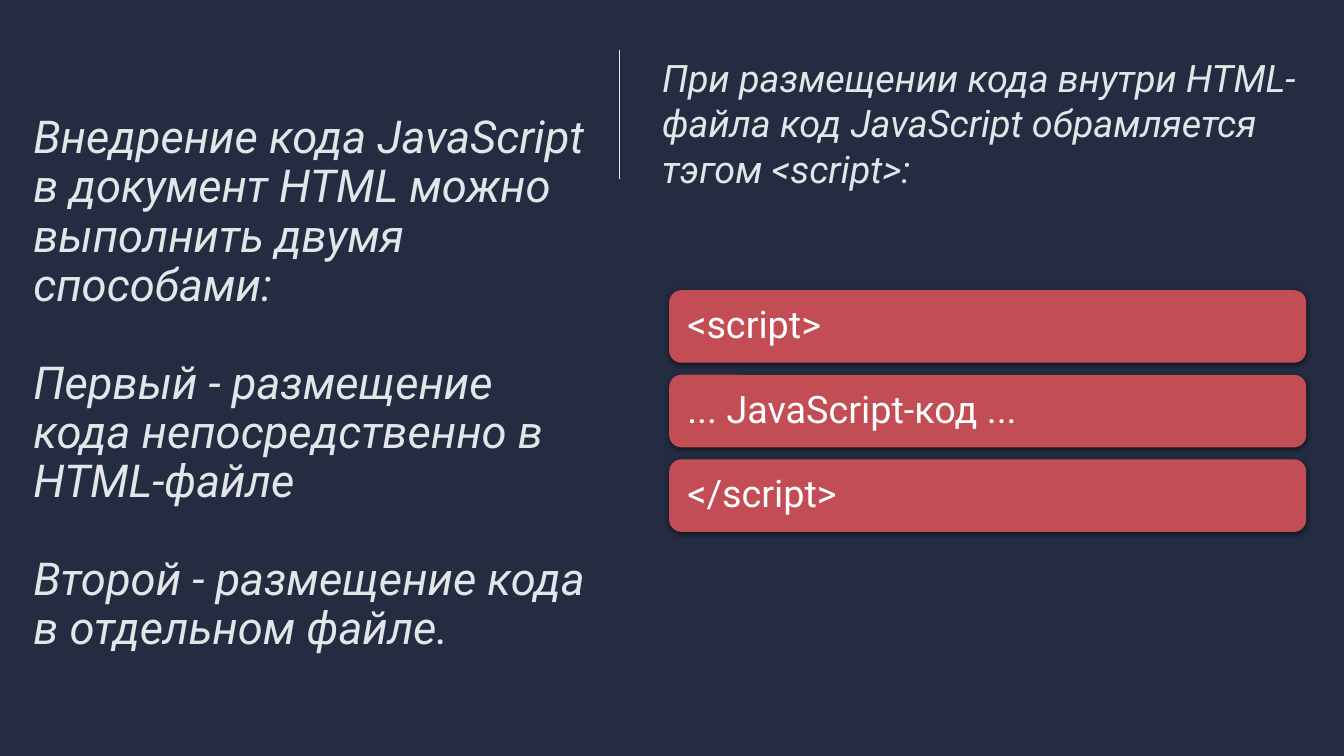
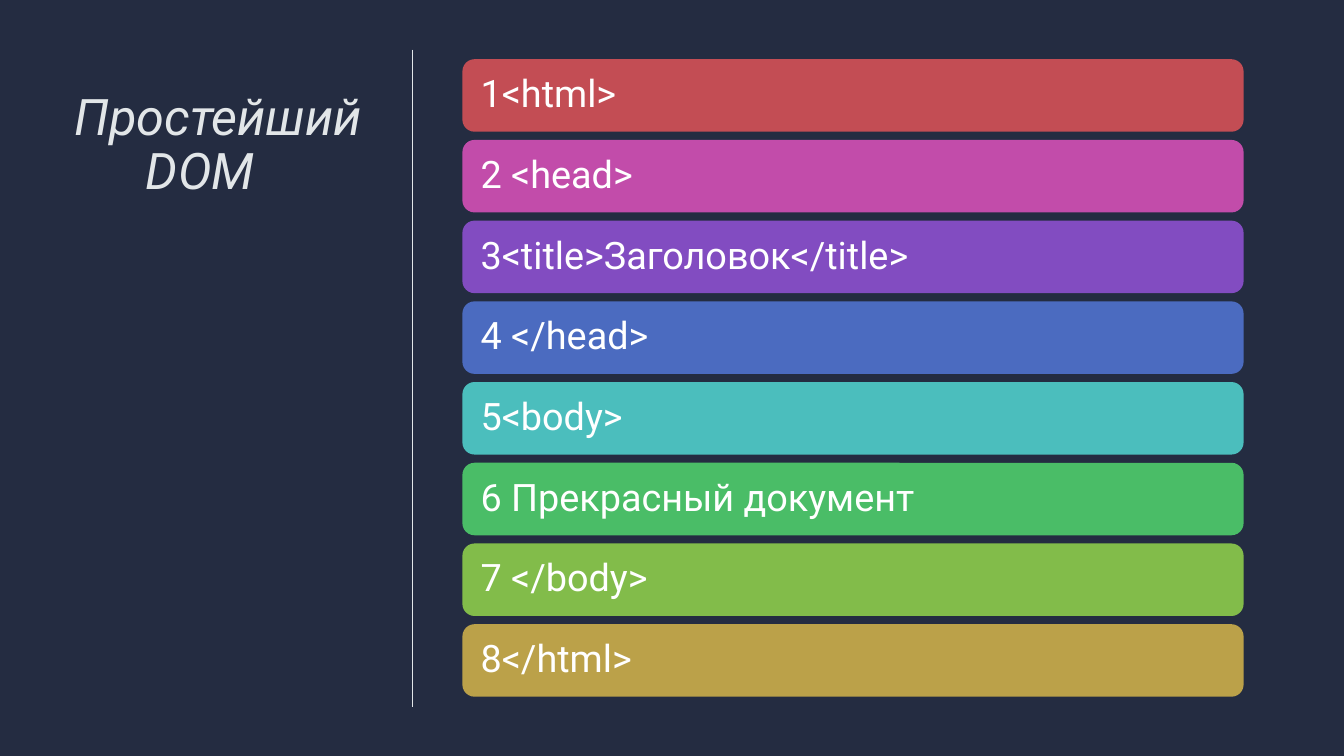
from lxml import etree
from pptx import Presentation, util as u
from pptx.dml.color import RGBColor
from pptx.enum import shapes, text
from pptx.oxml import parse_xml
from pptx.oxml.ns import nsdecls, qn

Pt = u.Pt
FONT = "Roboto"
HUES = {
    "back": "242C41", "pale": "E2E6E8", "white": "FFFFFF",
    "red": "C34D54", "pink": "C24CAA", "violet": "824CC1", "blue": "4B6BC0",
    "teal": "4BBEBD", "green": "4ABD67", "lime": "82BC4A", "gold": "BBA149",
}
SHADE = (
    f'<a:effectLst {nsdecls("a")}>'
    '<a:outerShdw blurRad="44450" dist="13970" dir="5400000" algn="ctr" rotWithShape="0">'
    '<a:srgbClr val="000000"><a:alpha val="45000"/></a:srgbClr>'
    '</a:outerShdw></a:effectLst>'
)


def hue(name):
    return RGBColor.from_string(HUES[name])


def write(page, lines, box, size=27, color="pale", slant=True, fill=None, shade=False,
          inset=(0, 0), lead=0.9, gap=0, indent=0, align=text.PP_ALIGN.LEFT):
    """Write one paragraph per line, in a rounded bar if a fill is given."""
    area = [Pt(n) for n in box]
    if fill:
        item = page.shapes.add_shape(shapes.MSO_SHAPE.ROUNDED_RECTANGLE, *area)
        item.fill.solid()
        item.fill.fore_color.rgb = hue(fill)
        item.line.fill.background()
        item.shadow.inherit = False
        if shade:
            plain = item.element.spPr.find(qn("a:effectLst"))
            plain.getparent().replace(plain, parse_xml(SHADE))
    else:
        item = page.shapes.add_textbox(*area)
    frame = item.text_frame
    frame.word_wrap = True
    frame.vertical_anchor = text.MSO_ANCHOR.MIDDLE if fill else text.MSO_ANCHOR.TOP
    frame.margin_left = frame.margin_right = Pt(inset[0])
    frame.margin_top = frame.margin_bottom = Pt(inset[1])
    for i, line in enumerate(lines):
        para = frame.paragraphs[0] if i == 0 else frame.add_paragraph()
        para.alignment = align
        para.line_spacing = lead
        para.space_before = Pt(gap if i else 0)
        if indent:
            para._p.get_or_add_pPr().set("indent", str(Pt(indent)))
        run = para.add_run()
        run.text = line
        run.font.name = FONT
        run.font.size = Pt(size)
        run.font.italic = slant
        run.font.color.rgb = hue(color)


def rule(page, x, top, end):
    line = page.shapes.add_connector(shapes.MSO_CONNECTOR.STRAIGHT, Pt(x), Pt(top), Pt(x), Pt(end))
    line.line.color.rgb = hue("pale")
    line.line.width = Pt(0.75)
    etree.SubElement(line.element.spPr, qn("a:effectLst"))


deck = Presentation()
deck.slide_width, deck.slide_height = Pt(960), Pt(540)
back = deck.slide_master.background.fill
back.solid()
back.fore_color.rgb = hue("back")
blank = deck.slide_layouts[6]
bar = dict(color="white", slant=False, inset=(10.4, 0))
tall = 51.8

# Ways to embed code
page = deck.slides.add_slide(blank)
ways = [
    "Внедрение кода JavaScript в документ HTML можно выполнить двумя способами:",
    "Первый - размещение кода непосредственно в HTML-файле",
    "Второй - размещение кода в отдельном файле.",
]
write(page, ways, (23.8, 82, 396, 385), size=32.4, gap=35)
rule(page, 442.3, 35.5, 128)
code = ["<script>", "... JavaScript-код ...", "</script>"]
for i, line in enumerate(code):
    write(page, [line], (478, 207.3 + i * 60.4, 455, tall), fill="red", shade=True, **bar)
note = "При размещении кода внутри HTML-файла код JavaScript обрамляется тэгом <script>:"
write(page, [note], (465.8, 35.5, 480, 105), inset=(7.2, 3.6), lead=1)

# Simplest DOM
page = deck.slides.add_slide(blank)
write(page, ["Простейший DOM"], (24, 65.5, 238, 90), size=36, indent=26,
      align=text.PP_ALIGN.CENTER)
rule(page, 294.8, 35.5, 505)
tags = [
    ("1<html>", "red"),
    ("2 <head>", "pink"),
    ("3<title>Заголовок</title>", "violet"),
    ("4 </head>", "blue"),
    ("5<body>", "teal"),
    ("6 Прекрасный документ", "green"),
    ("7 </body>", "lime"),
    ("8</html>", "gold"),
]
for i, (line, fill) in enumerate(tags):
    write(page, [line], (330.3, 42.3 + i * 57.65, 558, tall), fill=fill, **bar)

deck.save("out.pptx")
